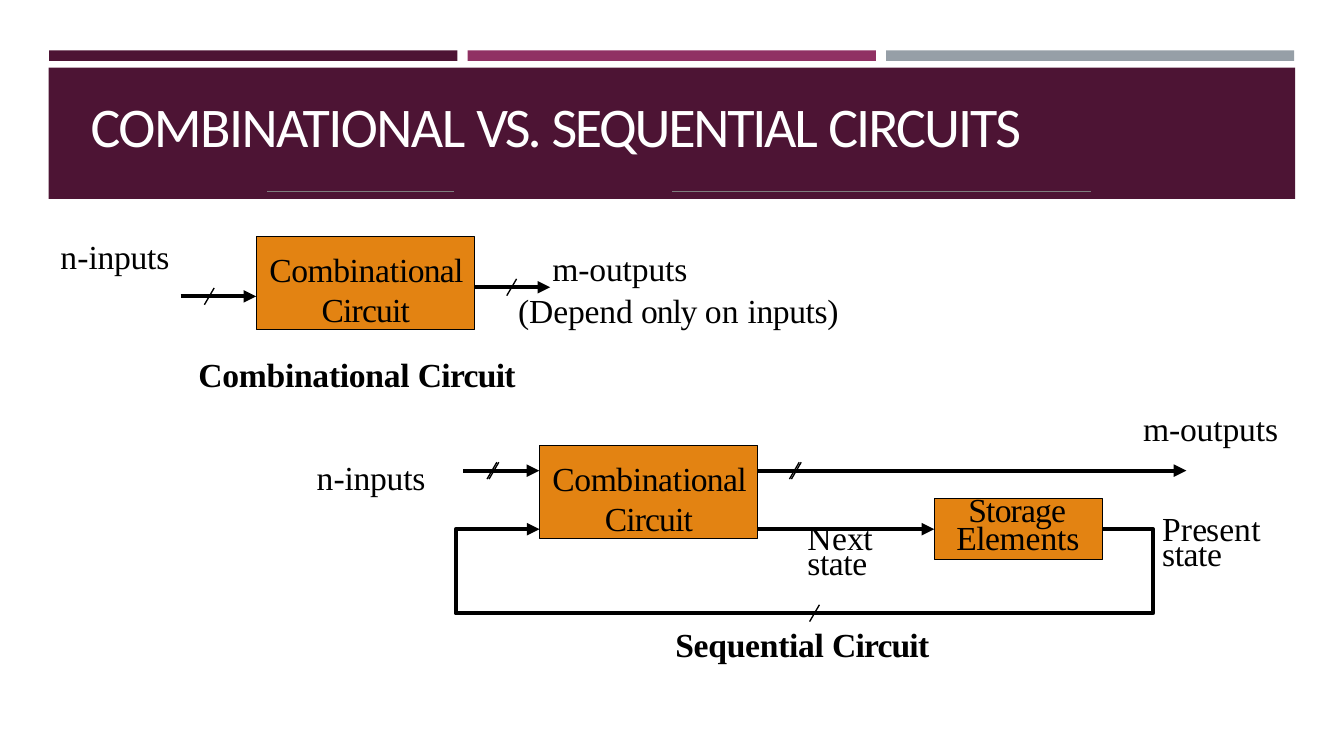
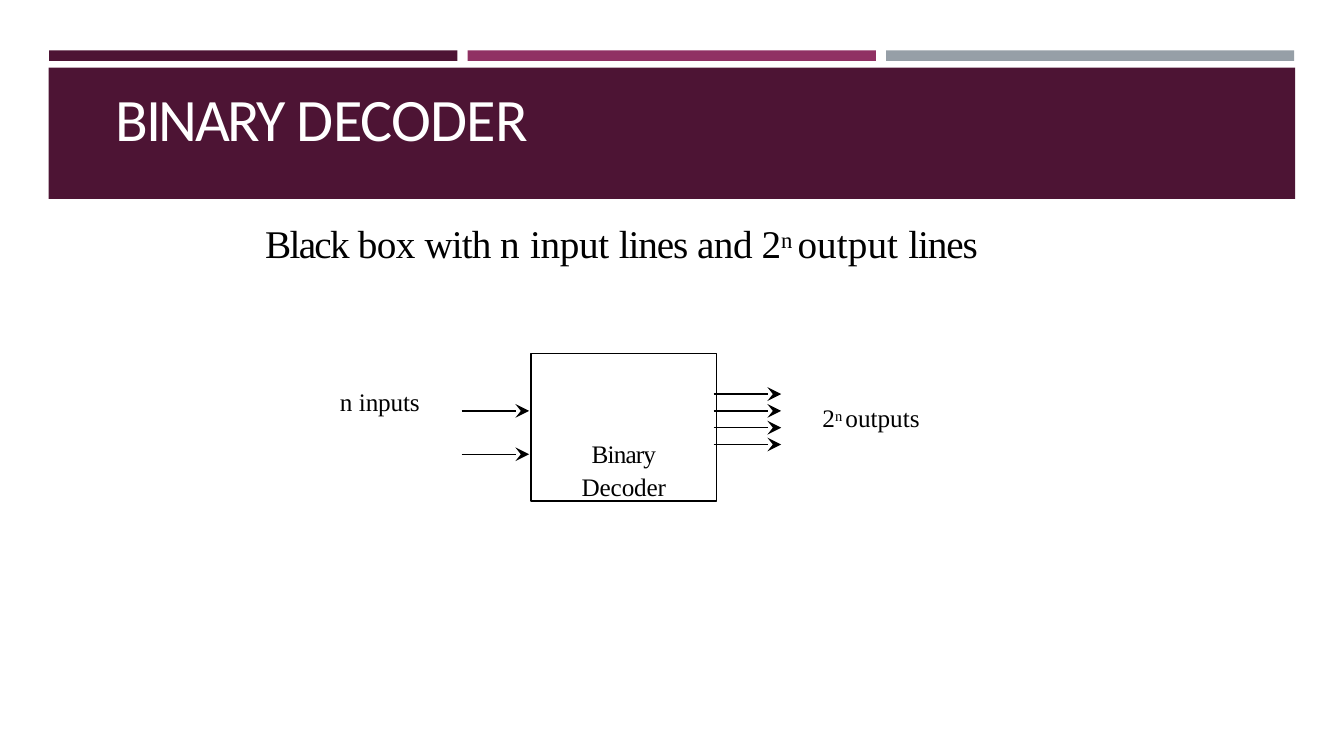
from dataclasses import dataclass
from pptx import Presentation
from pptx.dml.color import RGBColor
from pptx.enum.shapes import MSO_CONNECTOR, MSO_SHAPE
from pptx.enum.text import MSO_ANCHOR, PP_ALIGN
from pptx.oxml.ns import qn
from pptx.util import Pt
from lxml.etree import SubElement


@dataclass(frozen=True)
class Theme:
    """Colours, fonts and type sizes of the deck."""
    plum: str = "4D1434"
    rose: str = "903163"
    steel: str = "969FA7"
    orange: str = "E38312"
    black: str = "000000"
    white: str = "FFFFFF"
    grey: str = "7E7E7E"
    head: str = "Calibri"
    body: str = "Times New Roman"
    lead: int = 28
    label: int = 24
    small: int = 18


@dataclass
class Para:
    """A paragraph: runs of (text, spacing, raise) and its layout."""
    runs: list
    left: float = 0.7
    first: float = 0
    before: float = 1
    line: object = None
    align: object = PP_ALIGN.LEFT


THEME = Theme()
INPUTS = [("n", 0.1), ("-", -0.5), ("inputs", -0.2)]


def write(shape, paras, size, color=THEME.black, font=THEME.body, bold=False,
          top=0.7, anchor=MSO_ANCHOR.TOP):
    """Fill a shape's text frame run by run."""
    frame = shape.text_frame
    frame.word_wrap = True
    frame.vertical_anchor = anchor
    frame.margin_left = frame.margin_right = frame.margin_bottom = 0
    frame.margin_top = Pt(top)
    for i, para in enumerate(paras):
        item = frame.add_paragraph() if i else frame.paragraphs[0]
        item.alignment = para.align
        item.space_before = Pt(para.before)
        if para.line:
            item.line_spacing = para.line
        props = item._p.get_or_add_pPr()
        props.set("marL", str(Pt(para.left)))
        props.set("indent", str(Pt(para.first)))
        for text, gap, *lift in para.runs:
            run = item.add_run()
            run.text = text
            run.font.size = Pt(size)
            run.font.name = font
            run.font.bold = bold
            run.font.color.rgb = RGBColor.from_string(color)
            mark = run._r.get_or_add_rPr()
            mark.set("spc", str(round(gap * 100)))
            if lift:
                mark.set("baseline", str(lift[0] * 1000))


def label(slide, box, paras, size=THEME.label, **style):
    """Place a text box at (left, top, width, height)."""
    area = slide.shapes.add_textbox(*map(Pt, box))
    write(area, paras, size, **style)


def block(slide, box, fill=None, line=None, width=0.72):
    """Place a rectangle."""
    shape = slide.shapes.add_shape(MSO_SHAPE.RECTANGLE, *map(Pt, box))
    shape.shadow.inherit = False
    if fill:
        shape.fill.solid()
        shape.fill.fore_color.rgb = RGBColor.from_string(fill)
    else:
        shape.fill.background()
    if line:
        shape.line.color.rgb = RGBColor.from_string(line)
        shape.line.width = Pt(width)
    else:
        shape.line.fill.background()
    return shape


def ink(shape, width, color=THEME.black, tip=None, size="med"):
    """Style a line and give its end an arrowhead."""
    shape.line.color.rgb = RGBColor.from_string(color)
    shape.line.width = Pt(width)
    if tip:
        SubElement(shape.line._get_or_add_ln(), qn("a:tailEnd"),
                   type=tip, w=size, len=size)


def wire(slide, start, end, width=3, **style):
    """Draw a straight line between two points."""
    line = slide.shapes.add_connector(
        MSO_CONNECTOR.STRAIGHT, *map(Pt, (*start, *end)))
    ink(line, width, **style)
    SubElement(line._element.spPr, qn("a:effectLst"))
    return line


def arrow(slide, x, y, end):
    """Draw a heavy arrow to the right."""
    return wire(slide, (x, y), (end, y), tip="triangle")


def slash(slide, x, y):
    """Mark a bus with a slash centred on a point."""
    wire(slide, (x + 3.5, y - 6), (x - 3.5, y + 6), 0.96)


def frame(slide, box, runs, size):
    """Draw the three bars, the title band and the title."""
    for i, color in enumerate((THEME.plum, THEME.rose, THEME.steel)):
        block(slide, (35.1 + 298.9 * i, 36, 291.6, 7.5), color)
    block(slide, (34.8, 48.4, 890.4, 93.7), THEME.plum)
    label(slide, box, [Para(runs, before=0.9)], size, color=THEME.white,
          font=THEME.head, anchor=MSO_ANCHOR.BOTTOM)


def logic(slide, x, y):
    """Draw the combinational block."""
    shape = block(slide, (x, y, 156.2, 66.2), THEME.orange, THEME.black)
    runs = [("Combina", -0.3), ("t", -0.2), ("ional ", -0.5), ("Circuit", -0.6)]
    write(shape, [Para(runs, 46.8, -37.4, 8.3)], THEME.label, top=8.6)


def direct(slide, x, y):
    """Draw the combinational circuit from its top left corner."""
    label(slide, (x + 0.5, y + 1.8, 82, 31), [Para(INPUTS)])
    logic(slide, x + 141, y + 3.2)
    arrow(slide, x + 87, y + 45.7, x + 141)
    slash(slide, x + 107.5, y + 45.7)
    arrow(slide, x + 297.2, y + 39.2, x + 351)
    slash(slide, x + 323.5, y + 39.2)
    note = [("(Depend ", -0.1), ("only ", -0.8), ("on ", 0.2), ("inputs)", -0.3)]
    label(slide, (x + 327.4, y + 10.4, 240, 60.5),
          [Para([("m-outputs", -0.1)], 25.2), Para(note, before=1.2)])
    label(slide, (x + 99, y + 86, 240, 31),
          [Para([("Combinational ", -0.2), ("Circuit", -0.5)])], bold=True)


def store(slide, x, y):
    """Draw the storage block."""
    shape = block(slide, (x, y, 120.2, 44), THEME.orange, THEME.black)
    runs = [("Storage ", -0.6), ("Elem", -0.4), ("e", -0.5), ("nts", -0.1)]
    write(shape, [Para(runs, 15.8, 8.6, 2.8, 0.7)], THEME.label, top=1.1)
    return shape


def loop(slide, x, y):
    """Draw the feedback path from storage back to the logic."""
    points = [(36, 0), (36, 60), (-462, 60), (-462, 0), (-402.2, 0)]
    path = slide.shapes.build_freeform(Pt(x), Pt(y), 1.0)
    path.add_line_segments([(Pt(x + a), Pt(y + b)) for a, b in points], False)
    shape = path.convert_to_shape()
    shape.shadow.inherit = False
    shape.fill.background()
    ink(shape, 3, tip="triangle")


def state(slide, x, y, runs):
    """Write a state name over two tight lines."""
    lines = (runs, [("state", -0.3)])
    label(slide, (x, y, 76, 36),
          [Para(line, before=0, line=Pt(17.3)) for line in lines])


def memory(slide, x, y):
    """Draw the sequential circuit from its top left corner."""
    label(slide, (x + 590.8, y + 0.9, 104, 31), [Para([("m-outputs", -0.1)])])
    label(slide, (x + 0.4, y + 35.4, 82, 31), [Para(INPUTS)])
    logic(slide, x + 160.2, y + 28.2)
    for start, end, mark in ((106, 160.2, 126.4), (316.4, 622.4, 342.4)):
        arrow(slide, x + start, y + 46.2, x + end)
        for shift in (0, 1.4):
            slash(slide, x + mark + shift, y + 46.2)
    cell = store(slide, x + 442.4, y + 66)
    arrow(slide, x + 316.4, y + 88, x + 442.4).end_connect(cell, 1)
    loop(slide, x + 562.6, y + 88)
    slash(slide, x + 356.8, y + 148)
    state(slide, x + 351, y + 90.3, [("N", 0.3), ("e", 0.1), ("xt", -0.4)])
    state(slide, x + 604.4, y + 83.9,
          [("Pr", 0.1), ("es", -0.7), ("e", -0.8), ("nt", 0.2)])
    label(slide, (x + 256.7, y + 155, 200, 31),
          [Para([("Sequential ", -0.2), ("Circuit", -0.6)])], bold=True)


def decode(slide, x, y):
    """Draw the decoder with its inputs and outputs."""
    shape = block(slide, (x + 139.4, y + 0.7, 132.5, 105.2),
                  line=THEME.black, width=0.96)
    words = (("Binary", -0.6), ("Decoder", -0.1))
    write(shape, [Para([word], 0, 0, 1.4, align=PP_ALIGN.CENTER)
                  for word in words],
          THEME.small, top=0, anchor=MSO_ANCHOR.BOTTOM)
    for left, top, step, count in ((89.8, 41.5, 31, 2), (269.8, 29.5, 12, 4)):
        for i in range(count):
            level = y + top + step * i
            wire(slide, (x + left, level), (x + left + 48.2, level), 1,
                 tip="stealth", size="lg")
    label(slide, (x + 2, y + 23, 65, 24),
          [Para([("n ", 0.1), ("inputs", -0.1)])], THEME.small)
    label(slide, (x + 344.6, y + 34.6, 84, 24),
          [Para([("2", -0.2), ("n ", -0.4, 25), ("outputs", 0)], 2.9)],
          THEME.small)


def compare(slide):
    """Build the slide that compares the two circuits."""
    frame(slide, (64.1, 63.4, 813.6, 49.7),
          [("COMBINATIONAL ", -1.1), ("VS. ", -2.1),
           ("SEQUENTIAL ", -1.6), ("CIRCUITS", -1.4)], 40)
    for start, end in ((190.8, 324), (480.2, 779)):
        wire(slide, (start, 136.8), (end, 136.8), 0.48, color=THEME.grey)
    direct(slide, 42, 166)
    memory(slide, 225, 290)


def binary(slide):
    """Build the decoder slide."""
    frame(slide, (82.1, 56.2, 530, 53.3),
          [("BINARY ", -1.8), ("DECODER", -0.6)], 43)
    runs = [("Black ", -1.2), ("box ", -0.4), ("with ", -0.7), ("n ", 0.2),
            ("input ", -0.2), ("lines ", -0.8), ("and 2", -0.3),
            ("n ", -0.5, 26), ("output ", 0.1), ("lines", -0.8)]
    label(slide, (186.5, 156.2, 546.5, 35.3),
          [Para(runs, 2.9, before=0.9)], THEME.lead)
    decode(slide, 240, 252)


def main():
    """Build and save the deck."""
    deck = Presentation()
    deck.slide_width, deck.slide_height = Pt(960), Pt(540)
    for build in (compare, binary):
        build(deck.slides.add_slide(deck.slide_layouts[6]))
    deck.save("out.pptx")


if __name__ == "__main__":
    main()
